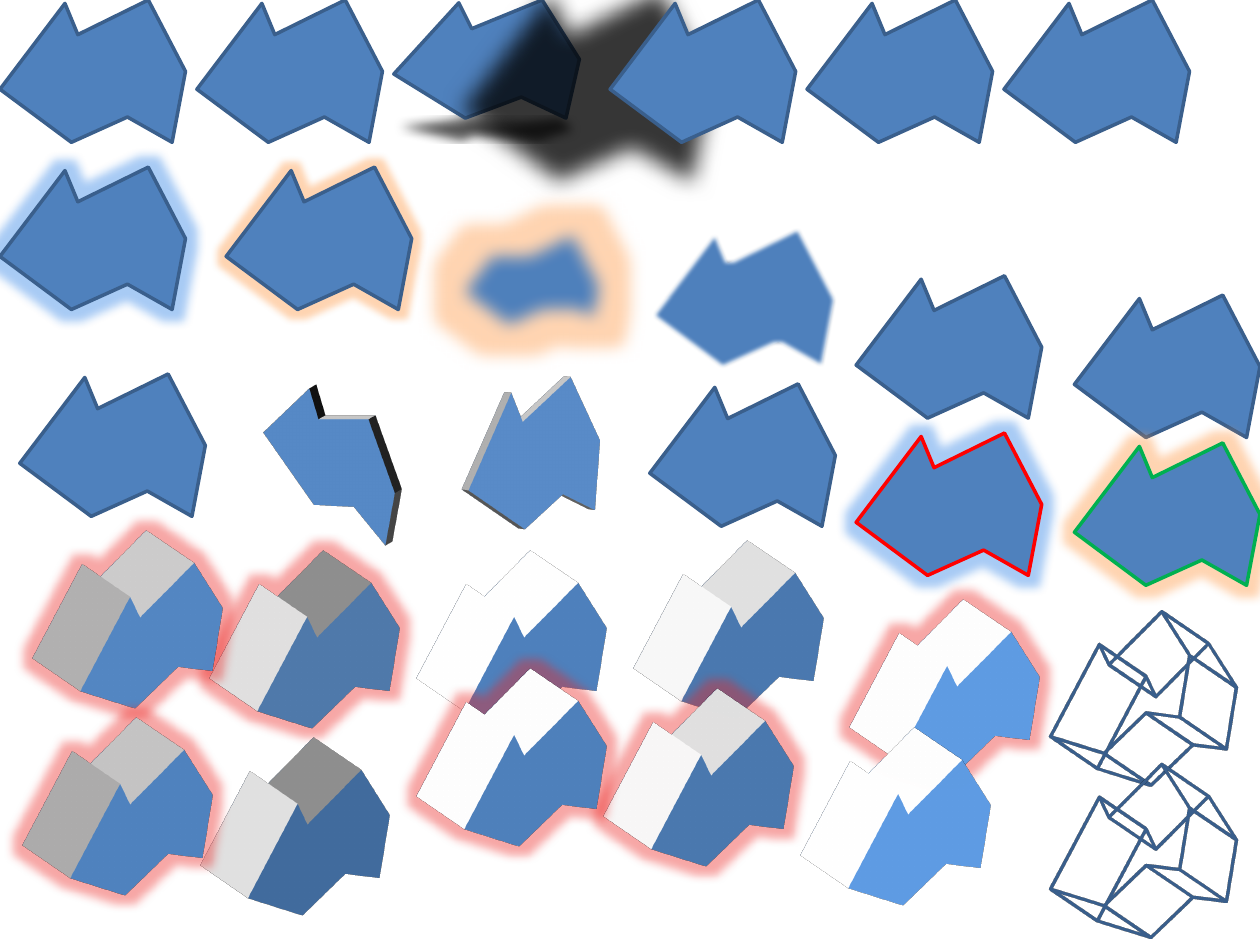
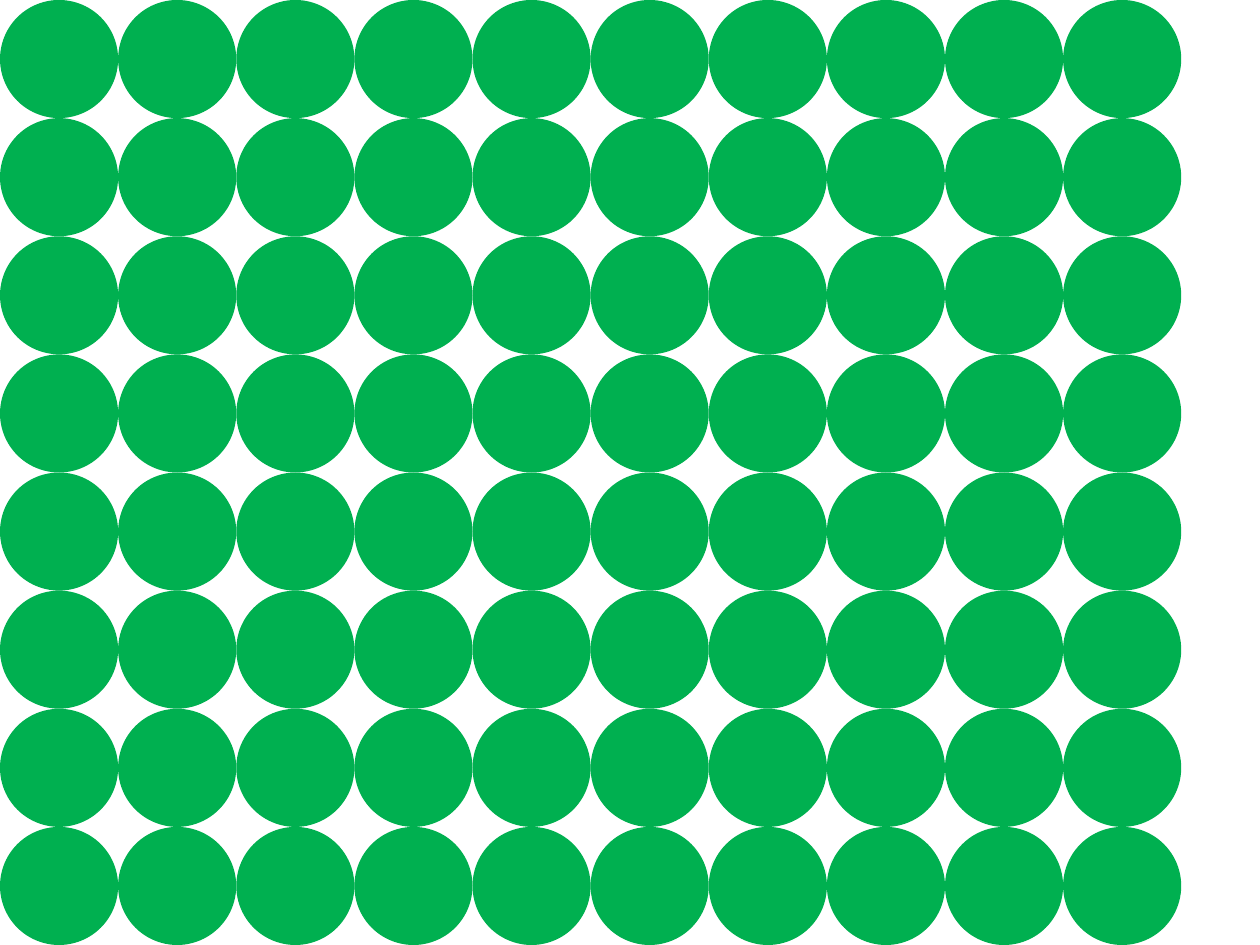
from lxml import etree
from pptx import Presentation
from pptx.dml.color import RGBColor
from pptx.enum.shapes import MSO_SHAPE
from pptx.oxml.ns import qn
from pptx.util import Cm, Pt

OVAL = MSO_SHAPE.OVAL
PAGE_WIDTH, PAGE_HEIGHT = 25.4, 19.05
BLANK_LAYOUT = 6
LINE_WIDTH = 2

COLORS = {
    "blue": "4F81BD", "outline": "3A5F8C", "red": "FF0000", "green": "00B050",
    "shadow": "000000", "side": "FFFFFF",
    "blue glow": "267DE6", "orange glow": "FF953E", "red glow": "EC2421",
}

# Corners of the jagged outline, in cm from its own top left
CORNERS = [(1.31, 0.07), (0, 1.8), (1.44, 2.87), (2.57, 2.36),
           (3.47, 2.87), (3.74, 1.44), (2.99, 0), (1.57, 0.7)]

# Shared effects
BLUE_GLOW = ("blue glow", 11)
ORANGE_GLOW = ("orange glow", 11)
RED_GLOW = ("red glow", 11)
FLOOR_SHADOW = {"opacity": 63, "blurRad": Pt(6), "dist": 0, "dir": 90 * 60000,
                "sx": 90000, "sy": -19000, "algn": "b"}
WIDE_SHADOW = {"opacity": 78, "blurRad": Pt(13), "dist": Pt(67), "dir": 173 * 60000,
               "sx": 130000, "sy": 130000, "algn": "ctr"}


def turned(camera="orthographicFront", rig="threePt", light="t", depth=0.2,
           turn=None, material="warmMatte"):
    """Settings of a shape seen through a camera."""
    return {"camera": camera, "rig": rig, "light": light, "depth": depth,
            "turn": turn, "material": material}


def block(rig="threePt", light="t", material="warmMatte"):
    """Settings of a deep block seen from its upper left."""
    return turned(rig=rig, light=light, depth=1.5, turn=(35, 320), material=material)


FLAT = turned()
WIRE = block(material="legacyWireframe")

# Left, top (cm) and the effects of each outline, from back to front
OUTLINES = [
    # Shadow row
    (0, 0, {}),
    (3.97, 0, {}),
    (7.94, 0, {"shadow": FLOOR_SHADOW, "stretch": 0.83}),
    (12.3, 0, {"shadow": WIDE_SHADOW}),
    (16.27, 0, {}),
    (20.24, 0, {}),
    # Glow and soft edge row
    (0, 3.37, {"glow": BLUE_GLOW}),
    (4.56, 3.37, {"glow": ("orange glow", 8)}),
    (8.73, 4.17, {"glow": ("orange glow", 18), "soft": 10}),
    (13.1, 4.56, {"soft": 2.5}),
    (17.26, 5.56, {}),
    (21.66, 5.95, {}),
    # Turned shapes and blocks
    (13.1, 7.74, {"solid": FLAT}),
    (13.29, 11.71, {"solid": block("soft", "l")}),
    (17.66, 12.9, {"solid": block("flat"), "glow": RED_GLOW}),
    (21.66, 13.1, {"solid": WIRE}),
    (8.93, 7.74, {"solid": turned("perspectiveContrastingRightFacing")}),
    (8.93, 11.91, {"solid": block("contrasting", "l")}),
    (4.76, 7.74, {"solid": turned("isometricLeftDown")}),
    (4.76, 11.91, {"solid": block("harsh", "tl"), "glow": RED_GLOW}),
    (0.4, 7.54, {}),
    (1.19, 11.51, {"solid": block(), "glow": RED_GLOW}),
    (17.26, 8.73, {"solid": FLAT, "glow": BLUE_GLOW, "line": "red"}),
    (21.66, 8.93, {"solid": FLAT, "glow": ORANGE_GLOW, "line": "green"}),
    # Lower blocks
    (12.7, 14.69, {"solid": block("soft", "l"), "glow": RED_GLOW}),
    (16.67, 15.48, {"solid": block("flat")}),
    (21.66, 16.17, {"solid": WIRE}),
    (8.93, 14.29, {"solid": block("contrasting", "l"), "glow": RED_GLOW}),
    (4.56, 15.68, {"solid": block("harsh", "tl", "matte")}),
    (0.99, 15.28, {"solid": block(material="matte"), "glow": RED_GLOW}),
]


def add_xml(parent, tag, **values):
    """Append a drawing element with the given attributes."""
    child = etree.SubElement(parent, qn("a:" + tag))
    for name, value in values.items():
        child.set(name, str(value))
    return child


def add_color(parent, name, opacity=100):
    color = add_xml(parent, "srgbClr", val=COLORS[name])
    if opacity < 100:
        add_xml(color, "alpha", val=opacity * 1000)


def paint(shape, fill, line=None):
    """Fill a shape, give it a line or none, and drop the theme shadow."""
    shape.shadow.inherit = False
    shape.fill.solid()
    shape.fill.fore_color.rgb = RGBColor.from_string(COLORS[fill])
    if line:
        shape.line.color.rgb = RGBColor.from_string(COLORS[line])
        shape.line.width = Pt(LINE_WIDTH)
    else:
        shape.line.fill.background()


def add_effects(shape, glow=None, shadow=None, soft=None):
    effects = shape._element.spPr.find(qn("a:effectLst"))
    if glow:
        name, radius = glow
        add_color(add_xml(effects, "glow", rad=Pt(radius)), name, 40)
    if shadow:
        values = dict(shadow)
        opacity = values.pop("opacity")
        add_color(add_xml(effects, "outerShdw", **values, rotWithShape=0), "shadow", opacity)
    if soft:
        add_xml(effects, "softEdge", rad=Pt(soft))


def add_solid(shape, solid):
    """Set the camera, the light and the depth."""
    props = shape._element.spPr
    scene = add_xml(props, "scene3d")
    camera = add_xml(scene, "camera", prst=solid["camera"])
    if solid["turn"]:
        lat, lon = solid["turn"]
        add_xml(camera, "rot", lat=lat * 60000, lon=lon * 60000, rev=0)
    add_xml(scene, "lightRig", rig=solid["rig"], dir=solid["light"])
    body = add_xml(props, "sp3d", extrusionH=Cm(solid["depth"]), prstMaterial=solid["material"])
    add_color(add_xml(body, "extrusionClr"), "side")


def add_outline(page, left, top, line="outline", stretch=1, solid=None, **effects):
    corners = [(Cm(x), Cm(y * stretch)) for x, y in CORNERS]
    builder = page.shapes.build_freeform(*corners[0])
    builder.add_line_segments(corners[1:], close=True)
    shape = builder.convert_to_shape(Cm(left), Cm(top))
    paint(shape, "blue", line)
    add_effects(shape, **effects)
    if solid:
        add_solid(shape, solid)


def add_dot_grid(page, left, top, height, rows, columns):
    """Touching circles that fill the given height."""
    size = height / rows
    for row in range(rows):
        for column in range(columns):
            dot = page.shapes.add_shape(OVAL, Cm(left + column * size), Cm(top + row * size),
                                        Cm(size), Cm(size))
            paint(dot, "green")


def main():
    deck = Presentation()
    deck.slide_width, deck.slide_height = Cm(PAGE_WIDTH), Cm(PAGE_HEIGHT)
    blank = deck.slide_layouts[BLANK_LAYOUT]

    # Slide 1: outlines with effects
    effects_page = deck.slides.add_slide(blank)
    for left, top, effects in OUTLINES:
        add_outline(effects_page, left, top, **effects)

    # Slide 2: grid of circles
    dots_page = deck.slides.add_slide(blank)
    add_dot_grid(dots_page, 0, 0, PAGE_HEIGHT, rows=8, columns=10)

    deck.save("out.pptx")


if __name__ == "__main__":
    main()
